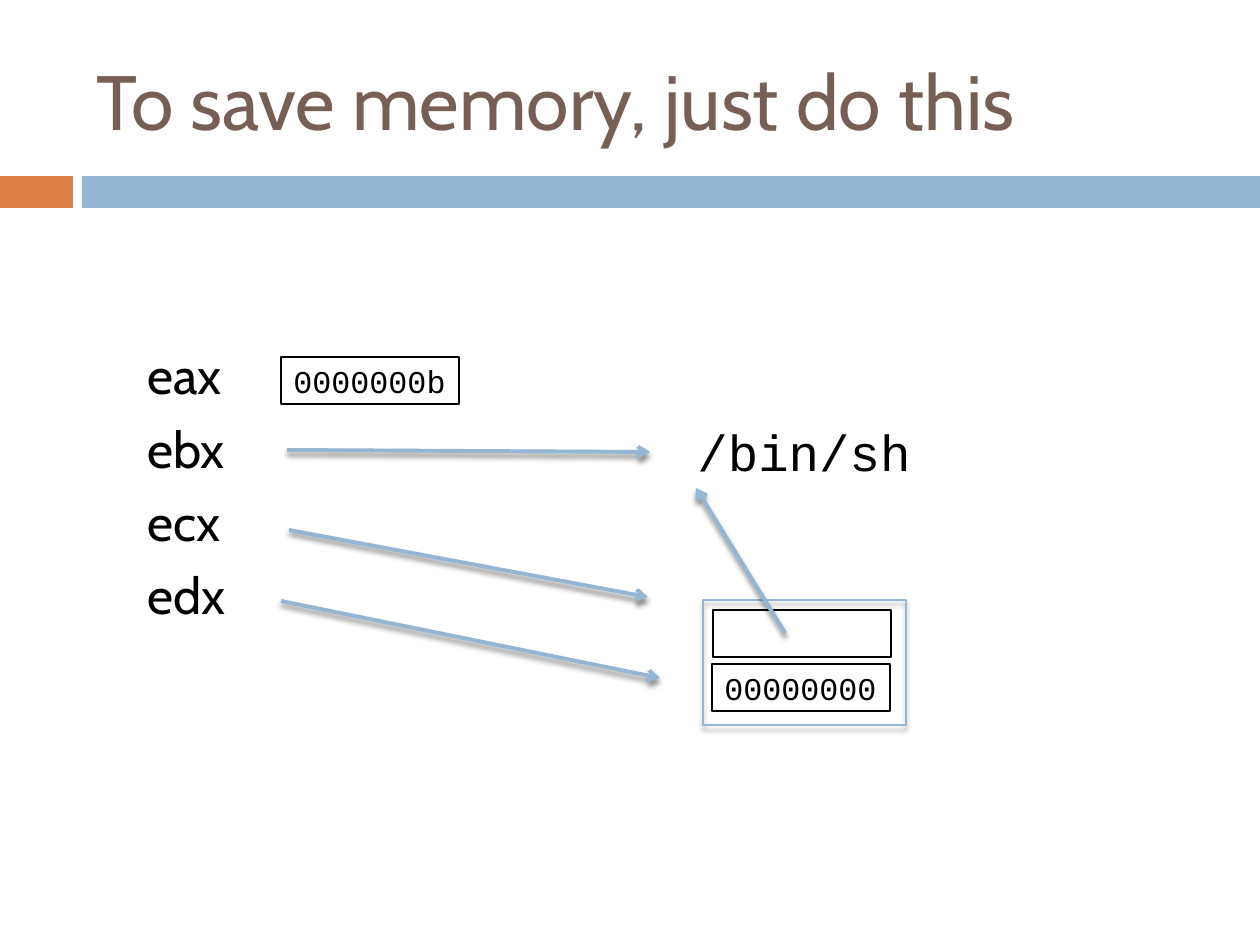
import pptx
import pptx.util
import pptx.dml.color
import pptx.enum.shapes
import pptx.enum.text
import pptx.oxml
import pptx.oxml.ns

UNIT = 914400 / 126
HUES = {"brown": "775F55", "rust": "DD8047", "blue": "94B6D2",
        "black": "000000", "white": "FFFFFF"}
SHADE = ('<a:effectLst %s><a:outerShdw blurRad="38100" dist="30480" dir="5400000" rotWithShape="0">'
         '<a:srgbClr val="000000"><a:alpha val="45000"/></a:srgbClr></a:outerShdw></a:effectLst>'
         % pptx.oxml.ns.nsdecls("a"))


def px(*nums):
    return [pptx.util.Emu(round(n * UNIT)) for n in nums]


def hue(name):
    return pptx.dml.color.RGBColor.from_string(HUES[name])


def shade(shape):
    props = shape._element.spPr
    for old in props.findall(pptx.oxml.ns.qn("a:effectLst")):
        props.remove(old)
    props.append(pptx.oxml.parse_xml(SHADE))


def write(shape, lines, size, font="Courier New", color="black", gap=7, mid=False):
    frame = shape.text_frame
    frame.word_wrap = True
    anchor = pptx.enum.text.MSO_ANCHOR
    frame.vertical_anchor = anchor.MIDDLE if mid else anchor.TOP
    frame.text = "\n".join(lines)
    for para in frame.paragraphs:
        para.alignment = pptx.enum.text.PP_ALIGN.LEFT
        para.space_before = pptx.util.Pt(gap)
        para.font.name = font
        para.font.size = pptx.util.Pt(size)
        para.font.color.rgb = hue(color)


def label(slide, area, lines, size, **style):
    write(slide.shapes.add_textbox(*px(*area)), lines, size, **style)


def box(slide, area, fill=None, line=None, width=1.5):
    kind = pptx.enum.shapes.MSO_SHAPE.RECTANGLE
    shape = slide.shapes.add_shape(kind, *px(*area))
    shape.shadow.inherit = False
    if fill:
        shape.fill.solid()
        shape.fill.fore_color.rgb = hue(fill)
    else:
        shape.fill.background()
    if line:
        shape.line.color.rgb = hue(line)
        shape.line.width = pptx.util.Pt(width)
    else:
        shape.line.fill.background()
    return shape


def cell(slide, left, top, text=""):
    shape = box(slide, (left, top, 178, 47), "white", "black")
    if text:
        write(shape, [text], 18.1, mid=True)


def arrow(slide, *ends):
    kind = pptx.enum.shapes.MSO_CONNECTOR.STRAIGHT
    link = slide.shapes.add_connector(kind, *px(*ends))
    link.line.color.rgb = hue("blue")
    link.line.width = pptx.util.Pt(2.25)
    tip = pptx.oxml.parse_xml('<a:tailEnd %s type="arrow"/>' % pptx.oxml.ns.nsdecls("a"))
    link.line._get_or_add_ln().append(tip)
    shade(link)


def main():
    deck = pptx.Presentation()
    deck.slide_width, deck.slide_height = px(1260, 945)
    slide = deck.slides.add_slide(deck.slide_layouts[6])

    box(slide, (0, 176, 73, 32), "rust")
    box(slide, (82, 176, 1178, 32), "blue")
    label(slide, (84, 32, 1124, 136), ["To save memory, just do this"], 44,
          font="Cabin", color="brown", gap=0, mid=True)
    label(slide, (135, 338, 163, 318), ["eax", "ebx", "ecx", "edx"], 29, font="Cabin")
    label(slide, (685, 415, 287, 76), ["/bin/sh"], 29)

    shade(box(slide, (703, 600, 203, 125), line="blue", width=0.79))
    cell(slide, 712, 664, "00000000")
    cell(slide, 713, 610)
    cell(slide, 281, 357, "0000000b")

    for ends in [(287, 450, 650, 452), (289, 530, 648, 597),
                 (281, 601, 660, 678), (785, 633, 696, 488)]:
        arrow(slide, *ends)

    deck.save("out.pptx")


main()
